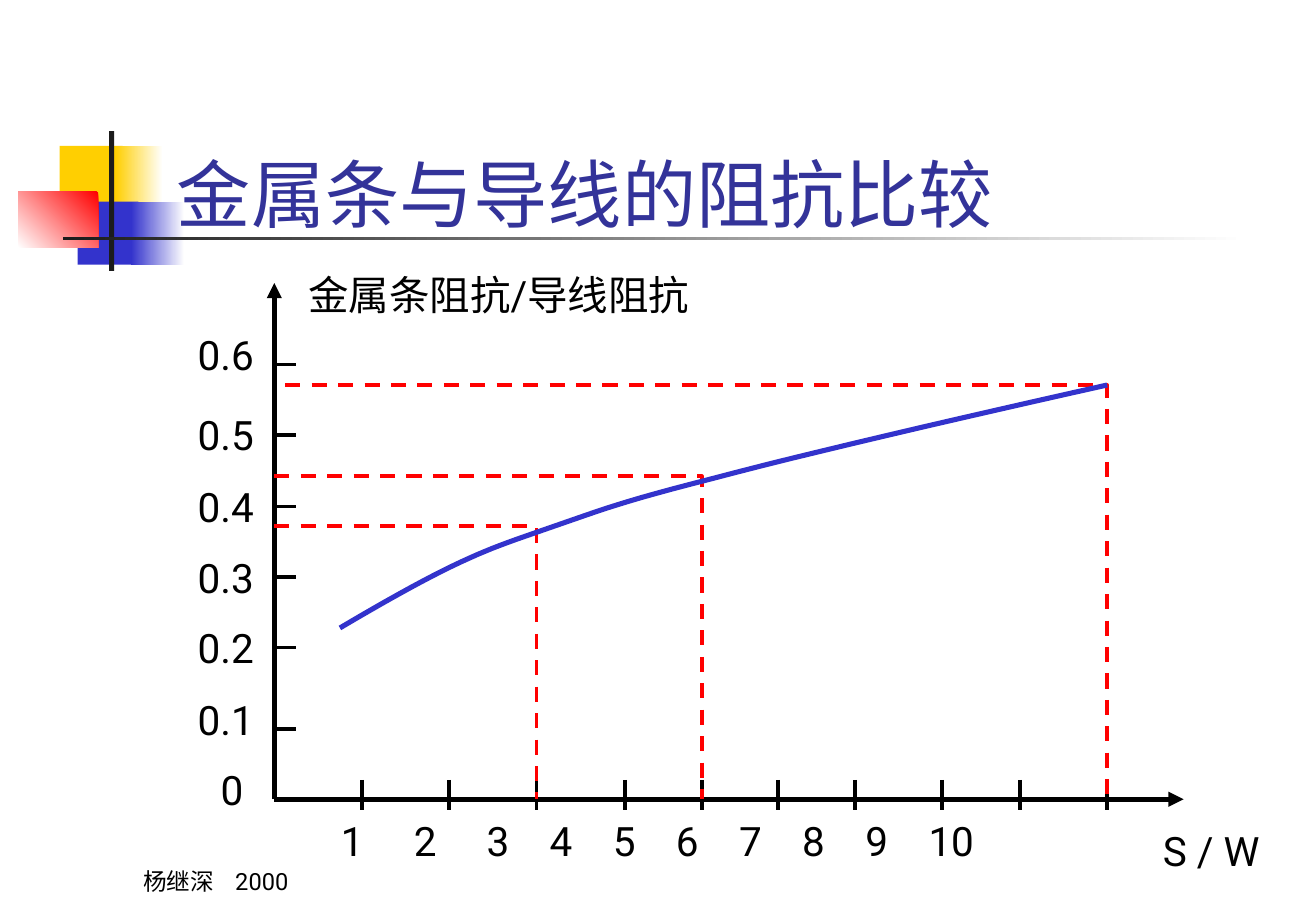
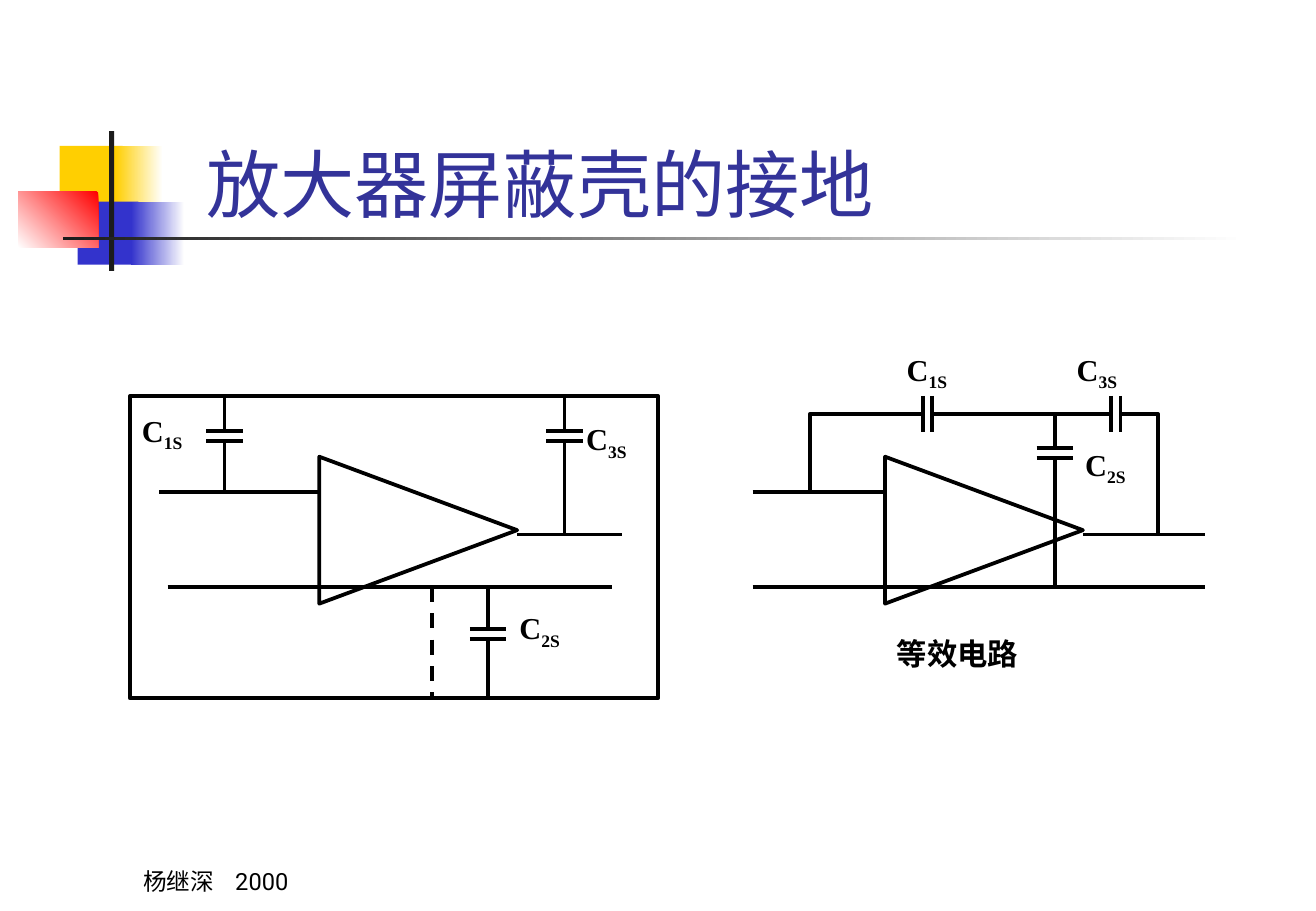
"""Build two grounding slides: an impedance curve and an amplifier shield circuit."""
from pptx import Presentation
from pptx.dml.color import RGBColor
from pptx.enum.dml import MSO_LINE
from pptx.enum.shapes import MSO_CONNECTOR, MSO_SHAPE
from pptx.enum.text import MSO_ANCHOR
from pptx.oxml.ns import qn
from pptx.util import Inches, Pt
from lxml.etree import SubElement

BLACK = RGBColor(0x00, 0x00, 0x00)
WHITE = RGBColor(0xFF, 0xFF, 0xFF)
CHARCOAL = RGBColor(0x1C, 0x1C, 0x1C)
YELLOW = RGBColor(0xFF, 0xCF, 0x01)
BLUE = RGBColor(0x33, 0x33, 0xCC)
RED = RGBColor(0xFF, 0x00, 0x00)
TITLE_BLUE = RGBColor(0x33, 0x33, 0x99)
BODY_FONT = "Roboto"
SYMBOL_FONT = "Times New Roman"

ORIGIN_X, ORIGIN_Y = 2.26, 6.58
PLATE_GAP = 0.08
PLATE_LENGTH = 0.3
AMPLIFIER_LENGTH, AMPLIFIER_HEIGHT = 1.63, 1.21
INPUT_Y, OUTPUT_Y, GROUND_Y = 4.05, 4.4, 4.83
BUS_Y = 3.41


def add_box(slide, kind, left, top, width, height):
    """Add an unfilled, shadowless preset shape."""
    shape = slide.shapes.add_shape(
        kind, Inches(left), Inches(top), Inches(width), Inches(height))
    shape.shadow.inherit = False
    shape.fill.background()
    return shape


def add_outline(slide, kind, left, top, width, height):
    """Add a preset shape with a black outline."""
    shape = add_box(slide, kind, left, top, width, height)
    shape.line.color.rgb = BLACK
    shape.line.width = Pt(2.25)
    return shape


def add_block(slide, left, top, width, height, colors, angle=180):
    """Add a borderless rectangle in one colour or a two-colour gradient."""
    shape = add_box(slide, MSO_SHAPE.RECTANGLE, left, top, width, height)
    shape.line.fill.background()
    if len(colors) == 1:
        shape.fill.solid()
        shape.fill.fore_color.rgb = colors[0]
        return
    shape.fill.gradient()
    shape.fill.gradient_angle = angle
    for stop, color in zip(shape.fill.gradient_stops, colors):
        stop.color.rgb = color


def add_text(slide, left, top, width, height, text, size=24, color=BLACK,
             font=BODY_FONT, bold=False, anchor=MSO_ANCHOR.TOP, tabs=()):
    """Add a one-paragraph text box and return its paragraph."""
    box = slide.shapes.add_textbox(
        Inches(left), Inches(top), Inches(width), Inches(height))
    frame = box.text_frame
    frame.word_wrap = True
    frame.vertical_anchor = anchor
    paragraph = frame.paragraphs[0]
    paragraph.text = text
    if tabs:
        properties = paragraph._p.get_or_add_pPr()
        tab_list = SubElement(properties, qn("a:tabLst"))
        for position in tabs:
            SubElement(tab_list, qn("a:tab"), pos=str(Inches(position)), algn="l")
    paragraph.font.size = Pt(size)
    paragraph.font.name = font
    paragraph.font.bold = bold
    paragraph.font.color.rgb = color
    return paragraph


def add_line(slide, start, end, width=2.25, dashed=False, arrow=False):
    """Add a straight black line between two points."""
    connector = slide.shapes.add_connector(
        MSO_CONNECTOR.STRAIGHT, *(Inches(value) for value in (*start, *end)))
    connector.line.color.rgb = BLACK
    connector.line.width = Pt(width)
    if dashed:
        connector.line.dash_style = MSO_LINE.DASH
    properties = connector.element.spPr
    if arrow:
        SubElement(properties.find(qn("a:ln")), qn("a:tailEnd"), type="triangle")
    SubElement(properties, qn("a:effectLst"))


def add_path(slide, points, color=BLACK, width=2.25, dashed=False):
    """Add an open, unfilled path through the points."""
    points = [(Inches(x), Inches(y)) for x, y in points]
    builder = slide.shapes.build_freeform(*points[0])
    builder.add_line_segments(points[1:], close=False)
    shape = builder.convert_to_shape()
    shape.shadow.inherit = False
    shape.fill.background()
    shape.line.color.rgb = color
    shape.line.width = Pt(width)
    if dashed:
        shape.line.dash_style = MSO_LINE.DASH


def curve_points(start, segments, steps=12):
    """Return points along a chain of cubic curves."""
    points = [start]
    for first, second, end in segments:
        corners = (points[-1], first, second, end)
        for step in range(1, steps + 1):
            t = step / steps
            weights = ((1 - t) ** 3, 3 * t * (1 - t) ** 2, 3 * t * t * (1 - t), t ** 3)
            points.append(tuple(
                sum(weight * corner[axis] for weight, corner in zip(weights, corners))
                for axis in (0, 1)))
    return points


def add_base_slide(presentation, title, title_left, title_top):
    """Add a blank slide with the shared ornament, title and footer."""
    slide = presentation.slides.add_slide(presentation.slide_layouts[6])
    add_block(slide, 0.49, 1.2, 0.52, 0.52, [YELLOW])
    add_block(slide, 0.95, 1.2, 0.39, 0.52, [WHITE, YELLOW])
    add_block(slide, 0.64, 1.66, 0.5, 0.52, [BLUE])
    add_block(slide, 1.08, 1.66, 0.44, 0.52, [WHITE, BLUE])
    add_block(slide, 0.15, 1.58, 0.66, 0.46, [RED, WHITE], angle=225)
    add_block(slide, 0.9, 1.08, 0.04, 1.15, [CHARCOAL])
    add_block(slide, 0.52, 1.95, 9.75, 0.03, [WHITE, CHARCOAL])
    add_text(slide, title_left, title_top, 9.23, 1.25, title, size=44,
             color=TITLE_BLUE, anchor=MSO_ANCHOR.BOTTOM)
    add_text(slide, 1.08, 6.92, 2.26, 0.5, "杨继深\t2000", size=14,
             anchor=MSO_ANCHOR.BOTTOM, tabs=[0.76])
    return slide


def add_axes(slide):
    """Draw both axes with ticks and labels."""
    origin = (ORIGIN_X, ORIGIN_Y)
    for end in ((ORIGIN_X, 2.33), (9.75, ORIGIN_Y)):
        add_line(slide, origin, end, width=3, arrow=True)
    add_text(slide, 1.72, 6.25, 0.54, 0.5, "0")
    for index, top in enumerate((5.67, 5.08, 4.5, 3.92, 3.33, 2.67), start=1):
        add_text(slide, 1.53, top, 0.72, 0.5, f"0.{index}")
    for y in (6, 5.33, 4.75, 4.17, 3.58, 3):
        add_line(slide, (ORIGIN_X, y), (ORIGIN_X + 0.18, y))
    for x in (2.98, 3.7, 4.42, 5.15, 5.78, 6.41, 7.04, 7.76, 8.4, 9.12):
        add_line(slide, (x, 6.42), (x, 6.67))
    label_tabs = [0.6] + [1.2 + 0.52 * index for index in range(8)]
    add_text(slide, 2.71, 6.67, 7.22, 0.5,
             "\t".join(str(number) for number in range(1, 11)), tabs=label_tabs)
    add_text(slide, 9.48, 6.75, 1.26, 0.5, "S / W")
    add_text(slide, 2.44, 2.17, 3.61, 0.5, "金属条阻抗/导线阻抗")


def add_impedance_slide(presentation):
    """Build the slide with the impedance ratio curve."""
    slide = add_base_slide(presentation, "金属条与导线的阻抗比较", 1.36, 0.75)
    add_axes(slide)
    for start_x, y, end_x in ((2.35, 3.17, 9.12), (2.26, 3.92, 5.78), (2.26, 4.33, 4.42)):
        add_path(slide, [(start_x, y), (end_x, y), (end_x, ORIGIN_Y)], RED, dashed=True)
    segments = [
        ((3.14, 4.97), (3.49, 4.77), (3.79, 4.63)),
        ((4.09, 4.49), (4.26, 4.44), (4.6, 4.32)),
        ((4.95, 4.2), (5.12, 4.13), (5.87, 3.94)),
        ((6.62, 3.74), (7.87, 3.45), (9.12, 3.17)),
    ]
    add_path(slide, curve_points((2.8, 5.17), segments), BLUE, width=3)


def add_amplifier(slide, left, input_start, output_end, ground_start, ground_end):
    """Draw an amplifier triangle with input, output and ground lines."""
    offset = (AMPLIFIER_LENGTH - AMPLIFIER_HEIGHT) / 2
    triangle = add_outline(slide, MSO_SHAPE.ISOSCELES_TRIANGLE, left + offset, 3.55,
                           AMPLIFIER_HEIGHT, AMPLIFIER_LENGTH)
    triangle.rotation = 90
    add_line(slide, (input_start, INPUT_Y), (left, INPUT_Y))
    add_line(slide, (left + AMPLIFIER_LENGTH, OUTPUT_Y), (output_end, OUTPUT_Y))
    add_line(slide, (ground_start, GROUND_Y), (ground_end, GROUND_Y))


def add_upright_capacitor(slide, x, top, plate_y, bottom):
    """Draw a capacitor with horizontal plates and two vertical leads."""
    lower_plate_y = plate_y + PLATE_GAP
    for y in (plate_y, lower_plate_y):
        add_line(slide, (x - PLATE_LENGTH / 2, y), (x + PLATE_LENGTH / 2, y))
    add_line(slide, (x, top), (x, plate_y))
    add_line(slide, (x, lower_plate_y), (x, bottom))


def add_bus_plates(slide, plate_x):
    """Draw the two vertical plates of a capacitor on the bus."""
    for x in (plate_x, plate_x + PLATE_GAP):
        add_line(slide, (x, BUS_Y - PLATE_LENGTH / 2), (x, BUS_Y + PLATE_LENGTH / 2))


def add_capacitor_label(slide, left, top, subscript):
    """Add a bold C with a subscript."""
    paragraph = add_text(slide, left, top, 0.62, 0.44, "C", size=18,
                         font=SYMBOL_FONT, bold=True)
    run = paragraph.add_run()
    run.text = subscript
    run._r.get_or_add_rPr().set("baseline", "-25000")


def add_shielded_circuit(slide):
    """Draw the amplifier inside its shield."""
    shield_top, shield_bottom = 3.26, 5.75
    add_amplifier(slide, 2.63, 1.31, 5.12, 1.38, 5.04)
    add_outline(slide, MSO_SHAPE.RECTANGLE, 1.07, shield_top, 4.35,
                shield_bottom - shield_top)
    add_upright_capacitor(slide, 1.85, shield_top, 3.55, INPUT_Y)
    add_upright_capacitor(slide, 4.65, shield_top, 3.55, OUTPUT_Y)
    add_upright_capacitor(slide, 4.02, GROUND_Y, 5.18, shield_bottom)
    add_line(slide, (3.56, GROUND_Y), (3.56, shield_bottom), dashed=True)
    add_capacitor_label(slide, 1.07, 3.34, "1S")
    add_capacitor_label(slide, 4.73, 3.41, "3S")
    add_capacitor_label(slide, 4.18, 4.97, "2S")


def add_equivalent_circuit(slide):
    """Draw the equivalent circuit with its caption."""
    first_plate_x, third_plate_x = 7.6, 9.15
    add_amplifier(slide, 7.29, 6.2, 9.93, 6.2, 9.93)
    add_upright_capacitor(slide, 8.69, BUS_Y, 3.69, GROUND_Y)
    add_path(slide, [(6.67, INPUT_Y), (6.67, BUS_Y), (first_plate_x, BUS_Y)])
    add_path(slide, [(9.54, OUTPUT_Y), (9.54, BUS_Y), (third_plate_x + PLATE_GAP, BUS_Y)])
    add_line(slide, (first_plate_x + PLATE_GAP, BUS_Y), (third_plate_x, BUS_Y))
    for plate_x in (first_plate_x, third_plate_x):
        add_bus_plates(slide, plate_x)
    add_capacitor_label(slide, 7.37, 2.84, "1S")
    add_capacitor_label(slide, 8.77, 2.84, "3S")
    add_capacitor_label(slide, 8.84, 3.62, "2S")
    add_text(slide, 7.29, 5.18, 1.63, 0.4, "等效电路", size=18, bold=True)


def add_amplifier_slide(presentation):
    """Build the slide on grounding an amplifier shield."""
    slide = add_base_slide(presentation, "放大器屏蔽壳的接地", 1.6, 0.67)
    add_shielded_circuit(slide)
    add_equivalent_circuit(slide)


def main():
    """Build and save the presentation."""
    presentation = Presentation()
    presentation.slide_width = Inches(10.84)
    presentation.slide_height = Inches(7.5)
    add_impedance_slide(presentation)
    add_amplifier_slide(presentation)
    presentation.save("out.pptx")


if __name__ == "__main__":
    main()
